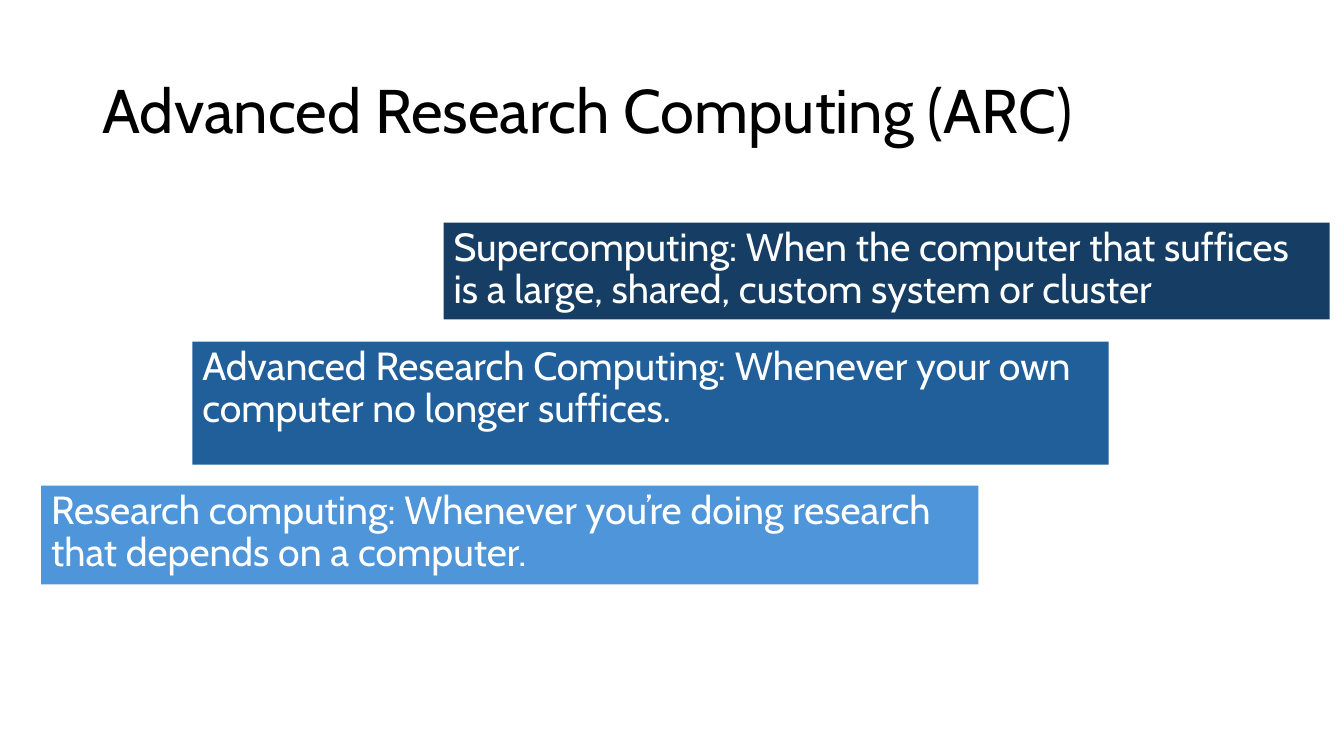
from pptx import Presentation
from pptx.dml.color import RGBColor
from pptx.enum.shapes import MSO_SHAPE as Preset
from pptx.enum.text import MSO_ANCHOR as Anchor, PP_ALIGN as Align
from pptx.util import Cm, Pt


def color(hex_string):
    return RGBColor.from_string(hex_string)


def write_text(shape, text, size, text_color, font, anchor=Anchor.TOP):
    frame = shape.text_frame
    frame.word_wrap = True
    frame.vertical_anchor = anchor
    paragraph = frame.paragraphs[0]
    paragraph.text = text
    paragraph.alignment = Align.LEFT
    paragraph.line_spacing = 0.9
    paragraph.font.name = font
    paragraph.font.size = Pt(size)
    paragraph.font.color.rgb = color(text_color)


class SlideBuilder:
    """Holds the style and the current slide."""

    font = "Cabin"
    title_size, title_color = 44, "000000"
    step_size, step_color = 28, "FFFFFF"

    def __init__(self, slide):
        self.slide = slide

    def title(self, text, left, top, width, height):
        box = self.slide.shapes.add_textbox(
            Cm(left), Cm(top), Cm(width), Cm(height))
        write_text(box, text, size=self.title_size, font=self.font,
                   text_color=self.title_color, anchor=Anchor.MIDDLE)

    def step(self, text, fill, left, top, width, height):
        shape = self.slide.shapes.add_shape(
            Preset.RECTANGLE, Cm(left), Cm(top), Cm(width), Cm(height))
        shape.shadow.inherit = False
        shape.fill.solid()
        shape.fill.fore_color.rgb = color(fill)
        shape.line.fill.background()
        write_text(shape, text, size=self.step_size, font=self.font,
                   text_color=self.step_color)


def main():
    presentation = Presentation()
    presentation.slide_width = Cm(33.87)
    presentation.slide_height = Cm(19.05)
    builder = SlideBuilder(
        presentation.slides.add_slide(presentation.slide_layouts[6]))

    # Title
    builder.title("Advanced Research Computing (ARC)", 2.34, 1.02, 29.21, 3.68)

    # Staircase of computing levels, from the top down
    builder.step("Supercomputing: When the computer that suffices is a large, "
                 "shared, custom system or cluster",
                 "163E64", 11.18, 5.61, 22.33, 2.44)
    builder.step("Advanced Research Computing: Whenever your own computer "
                 "no longer suffices.",
                 "215F9A", 4.85, 8.61, 23.09, 3.1)
    builder.step("Research computing: Whenever you’re doing research "
                 "that depends on a computer.",
                 "4E95D9", 1.04, 12.24, 23.62, 2.49)

    presentation.save("out.pptx")


if __name__ == "__main__":
    main()
